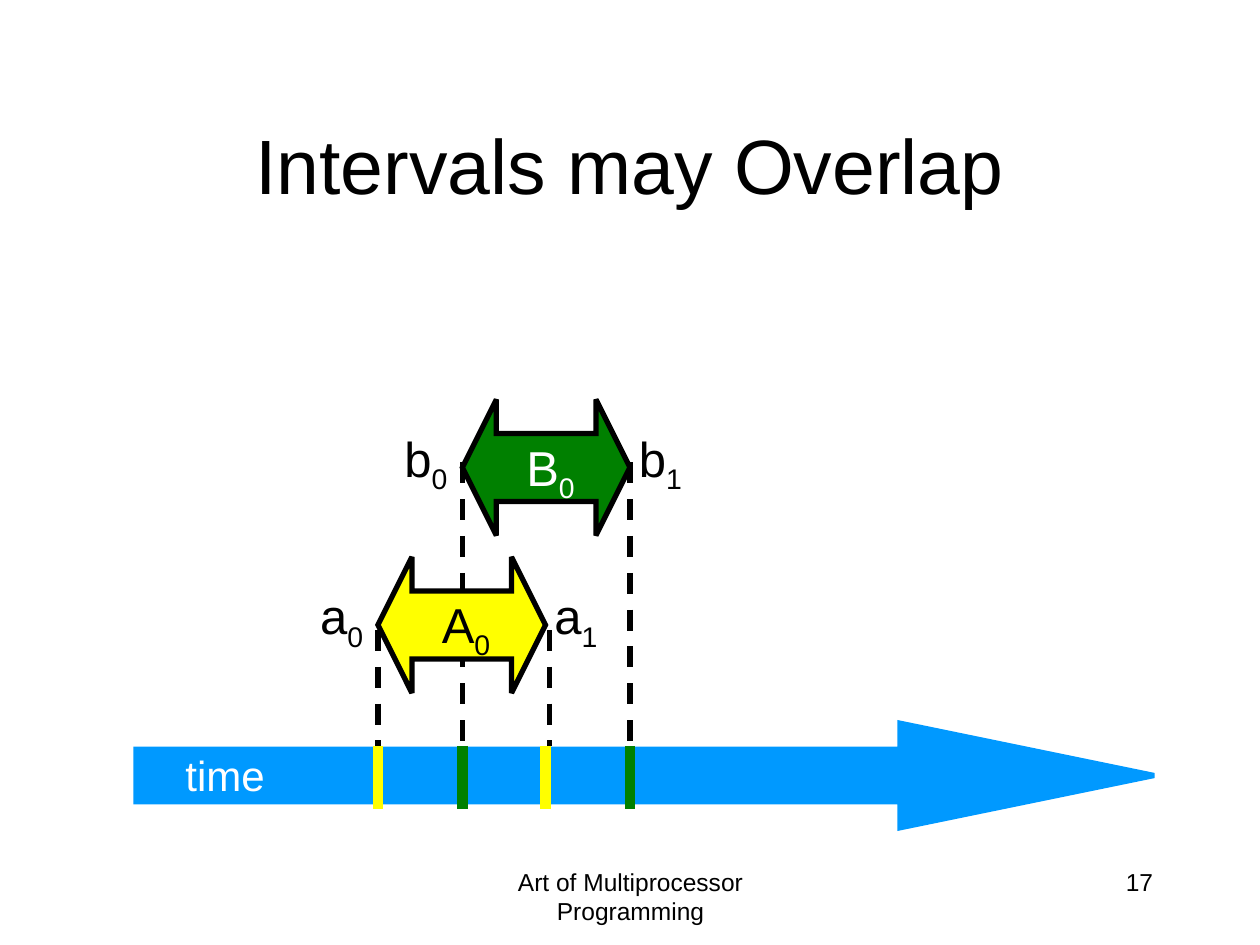
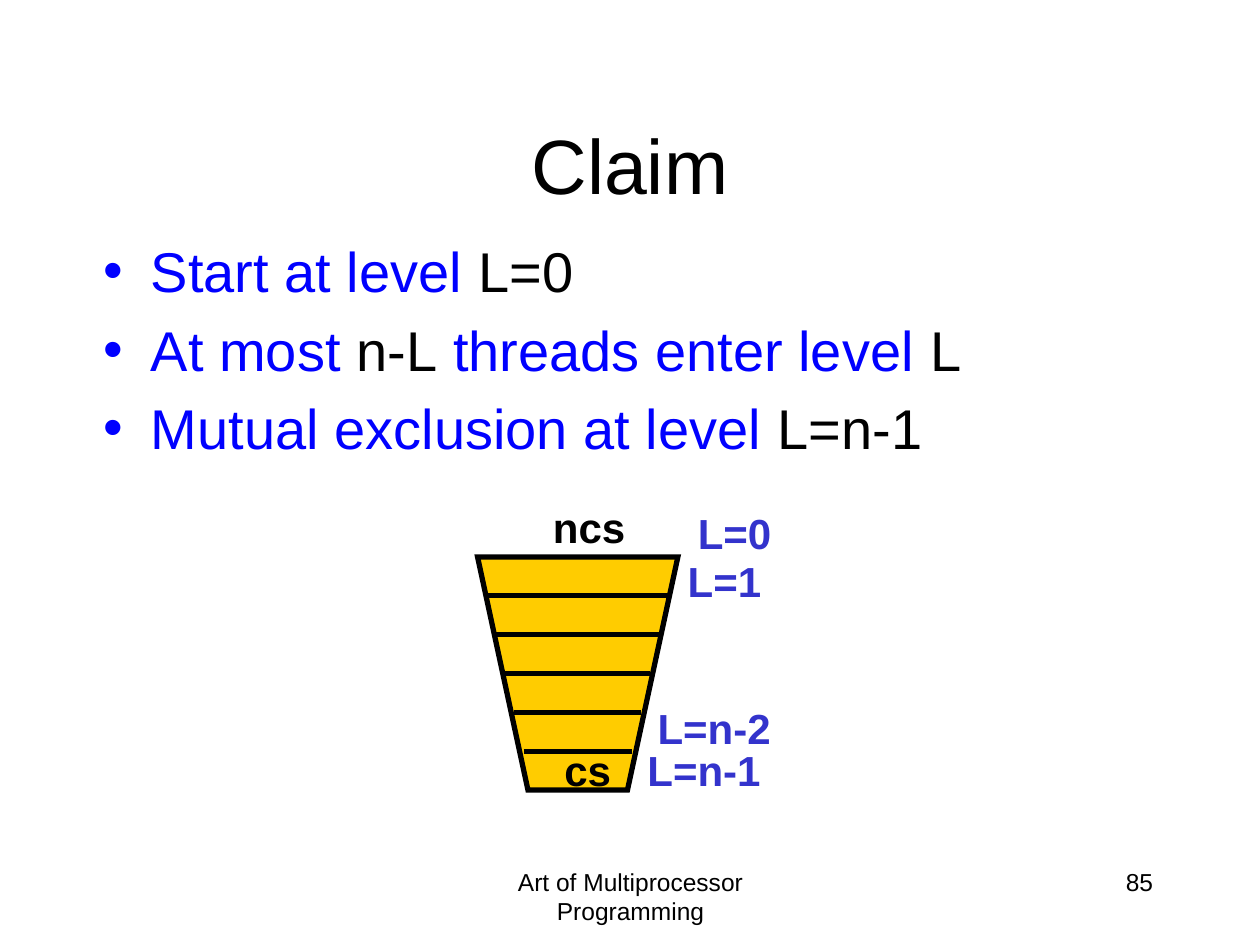
"""Build two lecture slides: overlapping intervals and the filter lock claim."""

from dataclasses import dataclass

from lxml.etree import SubElement
from pptx import Presentation
from pptx.dml.color import RGBColor
from pptx.enum.dml import MSO_LINE
from pptx.enum.shapes import MSO_CONNECTOR, MSO_SHAPE
from pptx.enum.text import MSO_ANCHOR, MSO_AUTO_SIZE, PP_ALIGN
from pptx.oxml.ns import qn
from pptx.shapes.autoshape import Shape
from pptx.slide import Slide
from pptx.text.text import _Paragraph
from pptx.util import Inches, Pt

FONT = "Arial"
BLACK, WHITE = "000000", "FFFFFF"
YELLOW, GREEN, TIME_BLUE = "FFFF00", "008000", "0099FF"
CLAIM_BLUE, LEVEL_BLUE, FUNNEL_GOLD = "0000FF", "3333CC", "FFCC00"
FOOTER = "Art of Multiprocessor Programming"
AXIS_TOP, AXIS_BOTTOM = 5.92, 6.42
ARROW_WIDTH, ARROW_HEIGHT = 1.33, 1.08


@dataclass(frozen=True)
class Style:
    """Look of a paragraph."""

    size: int
    color: str = BLACK
    bold: bool = False
    align: PP_ALIGN = PP_ALIGN.LEFT


@dataclass(frozen=True)
class Piece:
    """Run of text that may differ from its paragraph."""

    text: str
    color: str | None = None
    subscript: bool = False


@dataclass(frozen=True)
class Interval:
    """Interval of one thread on the time line."""

    letter: str
    start: float
    top: float
    color: str
    name_color: str
    drop_top: float
    drop_end: float

    @property
    def end(self) -> float:
        """Return the right tip of the interval."""
        return self.start + ARROW_WIDTH


@dataclass(frozen=True)
class Label:
    """Bold label beside the funnel."""

    text: str
    left: float
    top: float
    width: float
    color: str = LEVEL_BLUE


TITLE = Style(44, align=PP_ALIGN.CENTER)
FOOTER_STYLE = Style(14, align=PP_ALIGN.CENTER)
NUMBER_STYLE = Style(14, align=PP_ALIGN.RIGHT)

INTERVALS = [
    Interval("a", 3, 4.42, YELLOW, BLACK, 5, 4.36),
    Interval("b", 3.67, 3.17, GREEN, WHITE, 3.67, 5),
]

CLAIMS = [
    [Piece("Start at level "), Piece("L=0", BLACK)],
    [Piece("At most "), Piece("n-L", BLACK), Piece(" threads enter level "), Piece("L", BLACK)],
    [Piece("Mutual exclusion at level "), Piece("L=n-1", BLACK)],
]

FUNNEL_LABELS = [
    Label("ncs", 4.29, 3.93, 0.78, BLACK),
    Label("cs", 4.38, 5.86, 0.58, BLACK),
    Label("L=0", 5.44, 3.98, 0.79),
    Label("L=1", 5.36, 4.36, 0.79),
    Label("L=n-2", 5.12, 5.53, 1.11),
    Label("L=n-1", 5.04, 5.86, 1.11),
]


def rgb(color: str) -> RGBColor:
    """Turn a hex string into a colour."""
    return RGBColor.from_string(color)


def fill_paragraph(paragraph: _Paragraph, pieces: list[Piece], style: Style) -> None:
    """Write the pieces and set the paragraph style."""
    paragraph.alignment = style.align
    font = paragraph.font
    font.name, font.size, font.bold = FONT, Pt(style.size), style.bold
    font.color.rgb = rgb(style.color)
    for piece in pieces:
        run = paragraph.add_run()
        run.text = piece.text
        if piece.color:
            run.font.color.rgb = rgb(piece.color)
        if piece.subscript:
            run._r.get_or_add_rPr().set("baseline", "-25000")


def add_text(slide: Slide, pieces: list[Piece], left: float, top: float, width: float,
             height: float, style: Style, wrap: bool = False) -> Shape:
    """Add a text box with one paragraph."""
    box = slide.shapes.add_textbox(Inches(left), Inches(top), Inches(width), Inches(height))
    frame = box.text_frame
    frame.word_wrap = wrap
    frame.auto_size = MSO_AUTO_SIZE.NONE if wrap else MSO_AUTO_SIZE.SHAPE_TO_FIT_TEXT
    fill_paragraph(frame.paragraphs[0], pieces, style)
    return box


def paint(shape: Shape, fill: str, line: str) -> None:
    """Set fill and a sharp-cornered outline and remove the shadow."""
    shape.shadow.inherit = False
    shape.fill.solid()
    shape.fill.fore_color.rgb = rgb(fill)
    shape.line.color.rgb = rgb(line)
    shape.line.width = Pt(3)
    SubElement(shape.line._get_or_add_ln(), qn("a:miter"), lim="800000")


def add_arrow(slide: Slide, kind: MSO_SHAPE, left: float, top: float, width: float,
              height: float, head: float, fill: str, line: str) -> None:
    """Add a block arrow with the given head proportion."""
    arrow = slide.shapes.add_shape(kind, Inches(left), Inches(top), Inches(width), Inches(height))
    arrow.adjustments[0], arrow.adjustments[1] = 0.5, head
    paint(arrow, fill, line)


def add_line(slide: Slide, start: tuple[float, float], end: tuple[float, float],
             color: str = BLACK, width: int = 3, dashed: bool = False) -> None:
    """Add a straight line."""
    line = slide.shapes.add_connector(
        MSO_CONNECTOR.STRAIGHT, *(Inches(value) for value in (*start, *end)))
    line.line.color.rgb = rgb(color)
    line.line.width = Pt(width)
    if dashed:
        line.line.dash_style = MSO_LINE.DASH
    SubElement(line._element.spPr, qn("a:effectLst"))


def add_base_slide(presentation: Presentation, title: str, number: int) -> Slide:
    """Add a blank slide with title, footer and slide number."""
    slide = presentation.slides.add_slide(presentation.slide_layouts[6])
    add_text(slide, [Piece(FOOTER)], 3.42, 6.83, 3.17, 0.5, FOOTER_STYLE, wrap=True)
    add_text(slide, [Piece(str(number))], 7.17, 6.83, 2.08, 0.5, NUMBER_STYLE, wrap=True)
    box = add_text(slide, [Piece(title)], 0.75, 0.67, 8.5, 1.25, TITLE, wrap=True)
    box.text_frame.vertical_anchor = MSO_ANCHOR.MIDDLE
    return slide


def add_interval(slide: Slide, interval: Interval) -> None:
    """Add the arrow of an interval with its name, end labels and ticks."""
    add_arrow(slide, MSO_SHAPE.LEFT_RIGHT_ARROW, interval.start, interval.top,
              ARROW_WIDTH, ARROW_HEIGHT, 0.25, interval.color, BLACK)
    labels = [
        (interval.letter, "0", interval.start - 0.6, 0.18, 0.58, BLACK),
        (interval.letter, "1", interval.end - 0.07, 0.18, 0.58, BLACK),
        (interval.letter.upper(), "0", interval.start + 0.33, 0.25, 0.66, interval.name_color),
    ]
    for letter, index, left, drop, width, color in labels:
        add_text(slide, [Piece(letter), Piece(index, subscript=True)], left,
                 interval.top + drop, width, 0.57, Style(28, color, align=PP_ALIGN.RIGHT))
    for x in (interval.start, interval.end):
        add_line(slide, (x, AXIS_TOP), (x, AXIS_BOTTOM), interval.color, 6)


def build_intervals(presentation: Presentation) -> None:
    """Build the slide about overlapping intervals."""
    slide = add_base_slide(presentation, "Intervals may Overlap", 17)
    add_arrow(slide, MSO_SHAPE.RIGHT_ARROW, 1.08, 5.74, 8.08, 0.83, 2.43, TIME_BLUE, TIME_BLUE)
    add_text(slide, [Piece("time")], 1.36, 5.9, 0.84, 0.51,
             Style(24, WHITE, align=PP_ALIGN.RIGHT))
    for interval in INTERVALS:
        for x in (interval.start, interval.drop_end):
            add_line(slide, (x, interval.drop_top), (x, AXIS_TOP), dashed=True)
    for interval in INTERVALS:
        add_interval(slide, interval)


def add_claims(slide: Slide) -> None:
    """Add the bulleted claims."""
    box = slide.shapes.add_textbox(Inches(0.72), Inches(1.83), Inches(8.5), Inches(4.5))
    frame = box.text_frame
    frame.word_wrap = True
    for index, pieces in enumerate(CLAIMS):
        paragraph = frame.add_paragraph() if index else frame.paragraphs[0]
        if index:
            paragraph.space_before = Pt(6.4)
        properties = paragraph._p.get_or_add_pPr()
        properties.set("marL", str(Inches(0.38)))
        properties.set("indent", str(-Inches(0.38)))
        SubElement(properties, qn("a:buFont"), typeface=FONT)
        SubElement(properties, qn("a:buChar"), char="•")
        fill_paragraph(paragraph, pieces, Style(32, CLAIM_BLUE))


def add_funnel(slide: Slide) -> None:
    """Add the funnel with evenly spaced levels."""
    left, right, top, bottom = 3.79, 5.38, 4.42, 6.27
    corners = [(left, top), (left + 0.4, bottom), (right - 0.4, bottom), (right, top)]
    points = [(Inches(x), Inches(y)) for x, y in corners]
    builder = slide.shapes.build_freeform(*points[0])
    builder.add_line_segments(points[1:], close=True)
    paint(builder.convert_to_shape(), FUNNEL_GOLD, BLACK)
    levels = 6
    for level in range(1, levels):
        y = top + (bottom - top) * level / levels
        inset = 0.44 * level / levels
        add_line(slide, (left + inset, y), (right - inset, y))


def build_claim(presentation: Presentation) -> None:
    """Build the slide with the claim and the funnel."""
    slide = add_base_slide(presentation, "Claim", 85)
    add_claims(slide)
    add_funnel(slide)
    for label in FUNNEL_LABELS:
        add_text(slide, [Piece(label.text)], label.left, label.top, label.width, 0.5,
                 Style(24, label.color, bold=True))


def main() -> None:
    """Build and save the presentation."""
    presentation = Presentation()
    presentation.slide_width, presentation.slide_height = Inches(10), Inches(7.5)
    build_intervals(presentation)
    build_claim(presentation)
    presentation.save("out.pptx")


if __name__ == "__main__":
    main()
